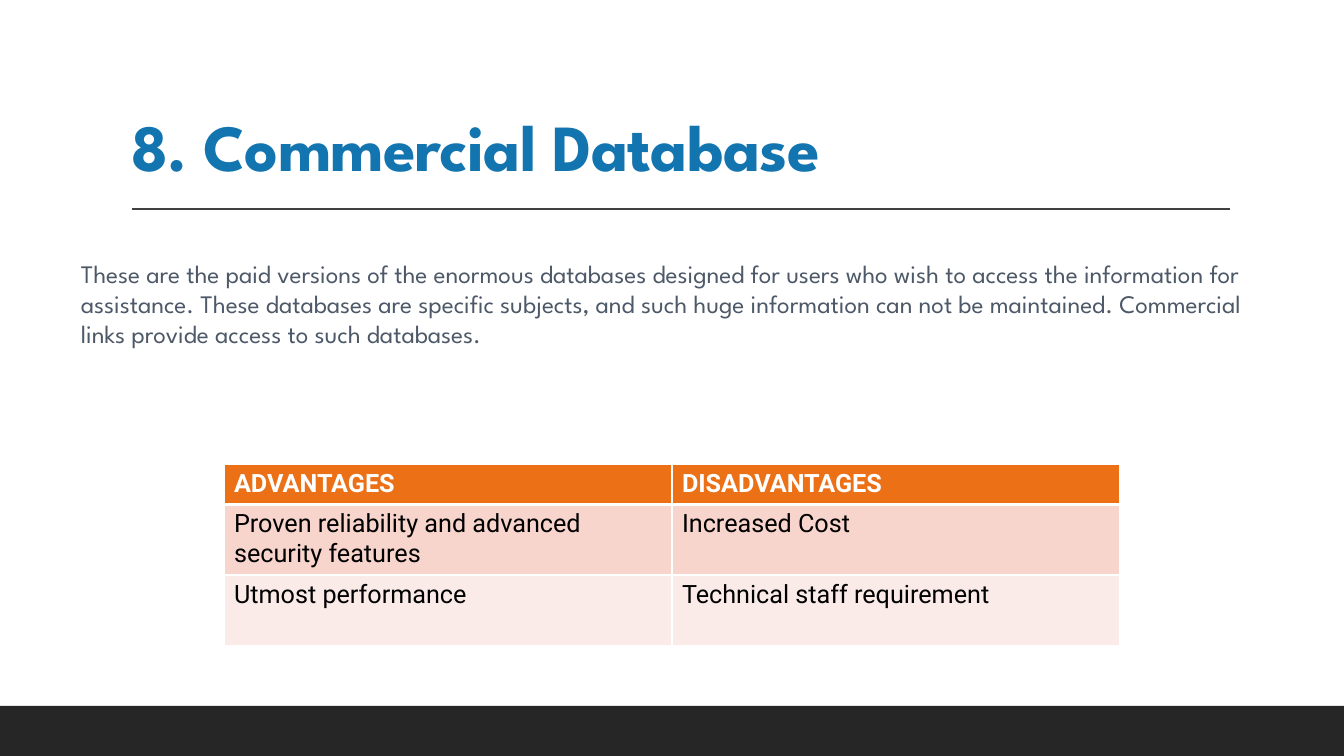
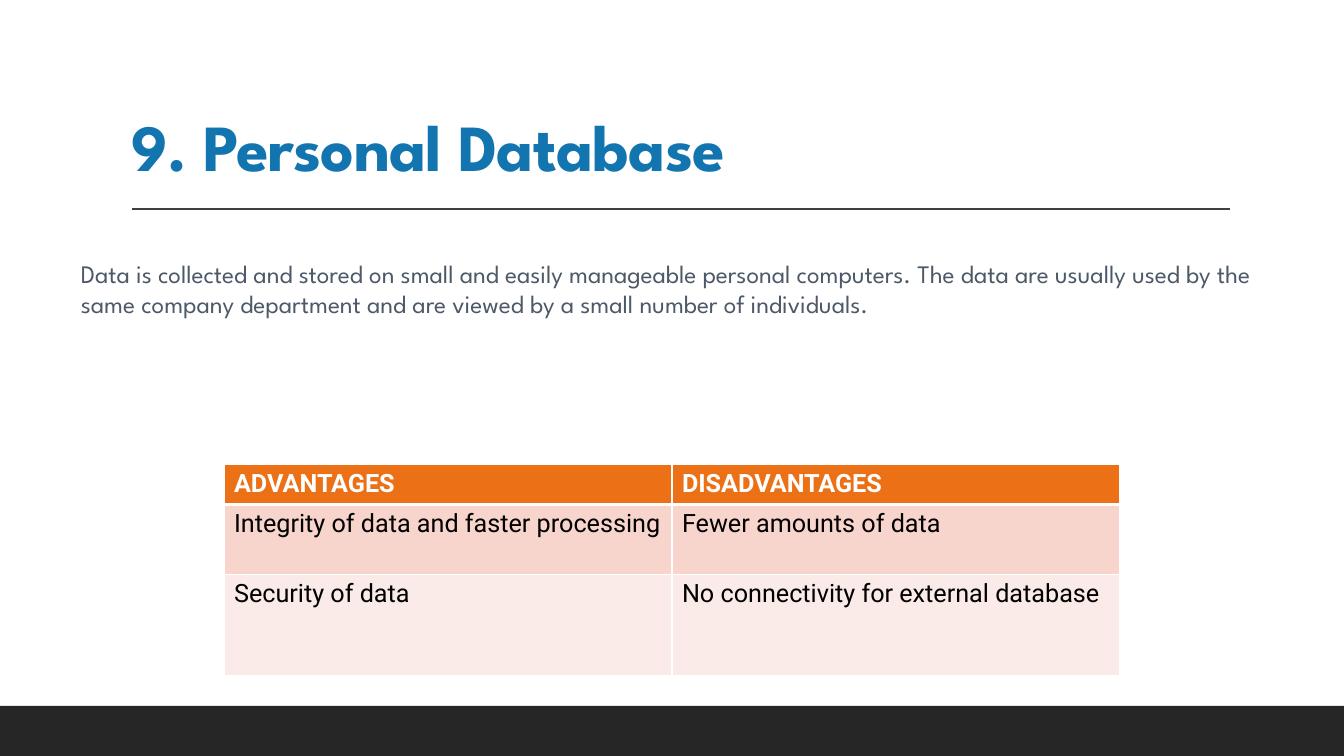
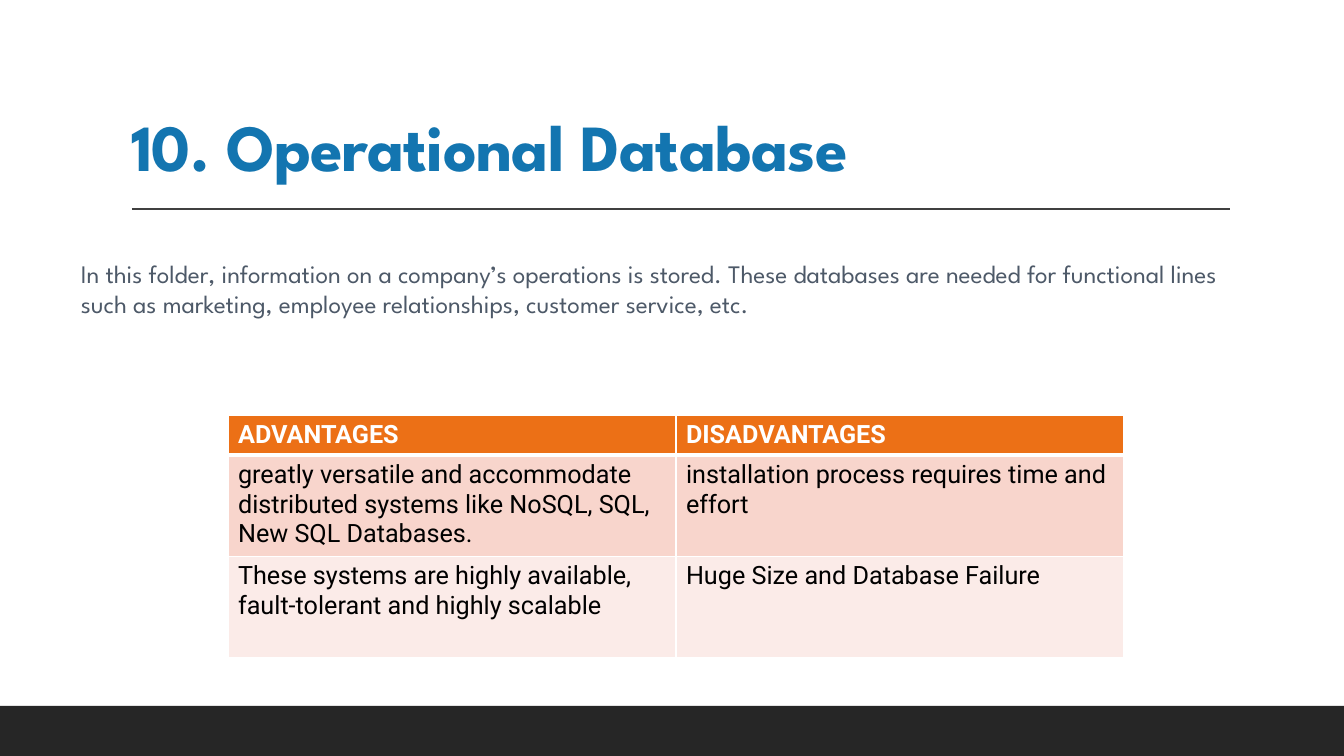
import pptx
import pptx.dml.color
import pptx.enum.shapes
import pptx.enum.text
import pptx.oxml
import pptx.oxml.ns
import pptx.util
import lxml.etree

EMU_PER_PX = 914400 / 100.8


def px(length):
    return pptx.util.Emu(round(length * EMU_PER_PX))


def colour(value):
    return pptx.dml.color.RGBColor.from_string(value)


def write(frame, text, *, font, size, ink, bold=False, line_spacing=None, tracking=None):
    """Put one formatted, left-aligned paragraph into a text frame."""
    frame.word_wrap = True
    para = frame.paragraphs[0]
    para.alignment = pptx.enum.text.PP_ALIGN.LEFT
    if line_spacing:
        para.line_spacing = line_spacing
    span = para.add_run()
    span.text = text
    span.font.name = font
    span.font.size = pptx.util.Pt(size)
    span.font.bold = bold
    span.font.color.rgb = colour(ink)
    if tracking:
        span.font._element.set("spc", str(round(tracking * 100)))


class DatabaseDeck:
    """The shared style, and the slide being built."""

    HEADING_FONT, TABLE_FONT = "League Spartan", "Roboto"
    BLUE, SLATE, BLACK, WHITE = "1375B0", "4D5968", "000000", "FFFFFF"
    BAND, RULE = "262626", "404040"
    ROW_FILLS = ("EC7016", "F8D5CC", "FBEBE8")
    HEADINGS = ("ADVANTAGES", "DISADVANTAGES")

    def __init__(self):
        self.deck = pptx.Presentation()
        self.deck.slide_width, self.deck.slide_height = px(1344), px(756)
        self.page = None

    def add_page(self, title):
        self.page = self.deck.slides.add_slide(self.deck.slide_layouts[5])
        self.add_band()
        self.add_rule()
        self.add_title(title)

    def add_band(self):
        band = self.page.shapes.add_shape(
            pptx.enum.shapes.MSO_SHAPE.RECTANGLE, px(0), px(706), px(1344), px(50))
        band.shadow.inherit = False
        band.fill.solid()
        band.fill.fore_color.rgb = colour(self.BAND)
        band.line.fill.background()

    def add_rule(self):
        rule = self.page.shapes.add_connector(
            pptx.enum.shapes.MSO_CONNECTOR.STRAIGHT, px(132), px(209), px(1230), px(209))
        rule.line.color.rgb = colour(self.RULE)
        rule.line.width = pptx.util.Pt(1)
        lxml.etree.SubElement(rule._element.spPr, pptx.oxml.ns.qn("a:effectLst"))

    def add_title(self, text):
        title = self.page.shapes.title
        title.left, title.top, title.width, title.height = px(121), px(31), px(1109), px(160)
        title.text_frame.auto_size = pptx.enum.text.MSO_AUTO_SIZE.NONE
        title.text_frame.vertical_anchor = pptx.enum.text.MSO_ANCHOR.BOTTOM
        write(title.text_frame, text, font=self.HEADING_FONT, size=47, ink=self.BLUE,
              bold=True, line_spacing=0.9, tracking=-0.5)

    def add_description(self, text, height):
        box = self.page.shapes.add_textbox(px(71), px(253), px(1208), px(height))
        box.text_frame.auto_size = pptx.enum.text.MSO_AUTO_SIZE.SHAPE_TO_FIT_TEXT
        write(box.text_frame, text, font=self.HEADING_FONT, size=18, ink=self.SLATE)

    def add_comparison(self, left, top, row_heights, points):
        rows = [self.HEADINGS, *points]
        table = self.page.shapes.add_table(
            len(rows), 2, px(left), px(top), px(896), px(sum(row_heights))).table
        table.horz_banding = False
        for column in table.columns:
            column.width = px(448)
        for index, (texts, height) in enumerate(zip(rows, row_heights)):
            table.rows[index].height = px(height)
            header = index == 0
            for cell, text in zip(table.rows[index].cells, texts):
                self.add_borders(cell, top=3 if index == 1 else 1, bottom=3 if header else 1)
                cell.fill.solid()
                cell.fill.fore_color.rgb = colour(self.ROW_FILLS[index])
                write(cell.text_frame, text, font=self.TABLE_FONT, size=18, bold=header,
                      ink=self.WHITE if header else self.BLACK)

    def add_borders(self, cell, top, bottom):
        properties = cell._tc.get_or_add_tcPr()
        for edge, width in (("L", 1), ("R", 1), ("T", top), ("B", bottom)):
            properties.append(pptx.oxml.parse_xml(
                f'<a:ln{edge} {pptx.oxml.ns.nsdecls("a")} w="{pptx.util.Pt(width)}">'
                f'<a:solidFill><a:srgbClr val="{self.WHITE}"/></a:solidFill></a:ln{edge}>'))


# Content: title, description and its height, table position, row heights and points
PAGES = [
    ("8. Commercial Database",
     "These are the paid versions of the enormous databases designed for users who wish to "
     "access the information for assistance. These databases are specific subjects, and such "
     "huge information can not be maintained. Commercial links provide access to such databases.",
     102, (224, 464), (40, 70, 71),
     [("Proven reliability and advanced security features", "Increased Cost"),
      ("Utmost performance", "Technical staff requirement")]),
    ("9. Personal Database",
     "Data is collected and stored on small and easily manageable personal computers. The data "
     "are usually used by the same company department and are viewed by a small number of "
     "individuals.",
     72, (224, 464), (40, 70, 101),
     [("Integrity of data and faster processing", "Fewer amounts of data"),
      ("Security of data", "No connectivity for external database")]),
    ("10. Operational Database",
     "In this folder, information on a company’s operations is stored. These databases are "
     "needed for functional lines such as marketing, employee relationships, customer service, "
     "etc.",
     72, (228, 415), (40, 100, 101),
     [("greatly versatile and accommodate distributed systems like NoSQL, SQL, New SQL Databases.",
       "installation process requires time and effort"),
      ("These systems are highly available, fault-tolerant and highly scalable",
       "Huge Size and Database Failure")]),
]


def main():
    builder = DatabaseDeck()
    for title, description, height, (left, top), row_heights, points in PAGES:
        builder.add_page(title)
        builder.add_description(description, height)
        builder.add_comparison(left, top, row_heights, points)
    builder.deck.save("out.pptx")


if __name__ == "__main__":
    main()
